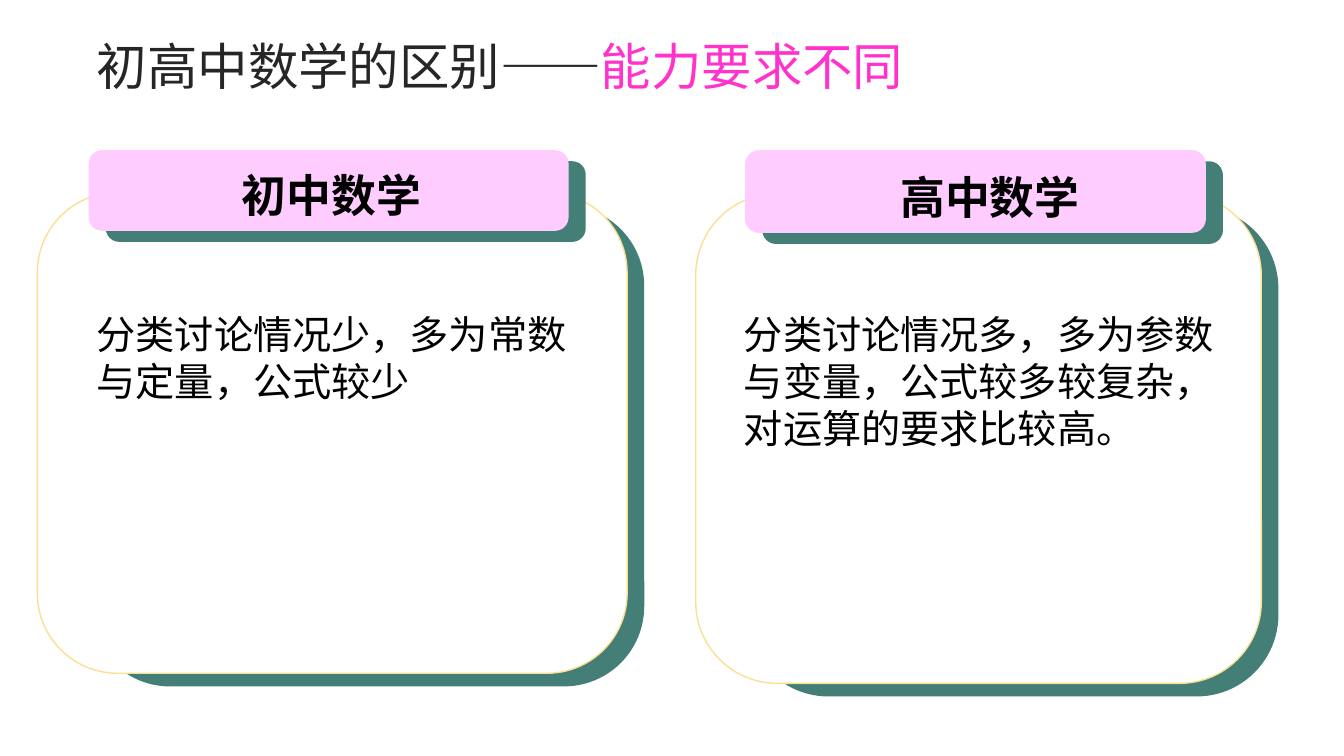
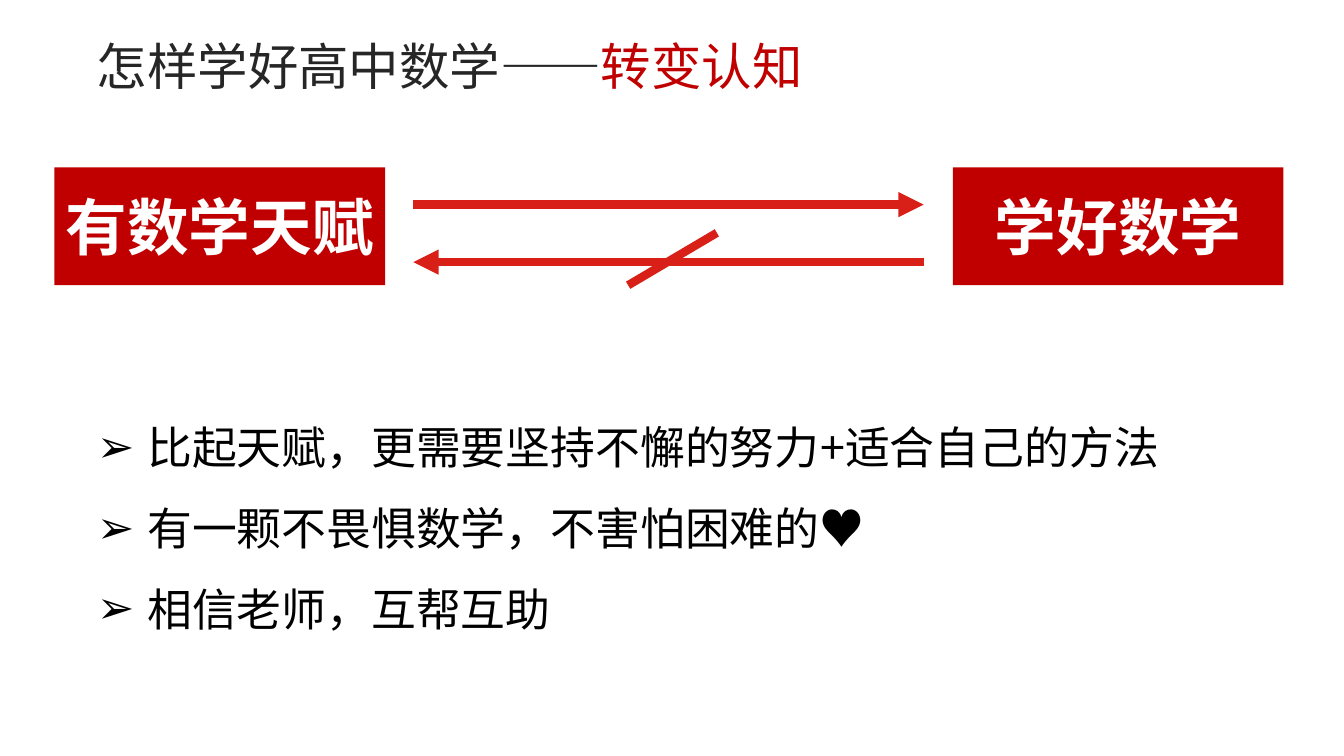
from dataclasses import dataclass

import pptx
import pptx.dml.color
import pptx.enum.shapes
import pptx.enum.text
import pptx.oxml
import pptx.oxml.ns
import pptx.util
from pptx.util import Inches

COLORS = {
    "ink": "262626",
    "black": "000000",
    "white": "FFFFFF",
    "teal": "437F76",
    "gold": "FBDF94",
    "pale pink": "FFCCFF",
    "hot pink": "FF33CC",
    "crimson": "C00000",
    "red": "D92018",
}
CJK_FONT = "Noto Sans CJK SC"
LATIN_FONT = "Arial"

SHAPE = pptx.enum.shapes.MSO_SHAPE
ALIGN = pptx.enum.text.PP_ALIGN
ANCHOR = pptx.enum.text.MSO_ANCHOR
TITLE_ONLY, TITLE_AND_CONTENT = 5, 1


@dataclass(frozen=True)
class Box:
    """A rectangle in inches."""
    left: float
    top: float
    width: float
    height: float

    def emu(self) -> tuple:
        return tuple(Inches(n) for n in (self.left, self.top, self.width, self.height))


@dataclass(frozen=True)
class Panel:
    heading: str
    body: str
    card: Box
    tag: Box
    heading_box: Box
    body_box: Box


@dataclass(frozen=True)
class Claim:
    text: str
    left: float


@dataclass(frozen=True)
class Stroke:
    start: tuple[float, float]
    end: tuple[float, float]
    arrow: bool


TITLE_BOX = Box(0.86, 0.3, 10.22, 0.7)

PANELS = [
    Panel("高中数学", "分类讨论情况多，多为参数与变量，公式较多较复杂，对运算的要求比较高。",
          card=Box(6.9, 1.92, 5.61, 4.86), tag=Box(7.39, 1.49, 4.57, 0.82),
          heading_box=Box(7.39, 1.53, 4.86, 0.57), body_box=Box(7.28, 3.03, 5.11, 1.5)),
    Panel("初中数学", "分类讨论情况少，多为常数与定量，公式较少",
          card=Box(0.37, 1.91, 5.85, 4.77), tag=Box(0.88, 1.49, 4.76, 0.8),
          heading_box=Box(0.86, 1.51, 4.86, 0.57), body_box=Box(0.86, 3.03, 5.11, 1.03)),
]

CLAIMS = [Claim("有数学天赋", 0.54), Claim("学好数学", 9.45)]
STROKES = [
    Stroke((4.1, 2.03), (9.16, 2.03), arrow=True),
    Stroke((9.16, 2.6), (4.1, 2.6), arrow=True),
    Stroke((7.11, 2.31), (6.23, 2.83), arrow=False),
]
ADVICE = [
    "比起天赋，更需要坚持不懈的努力+适合自己的方法",
    "有一颗不畏惧数学，不害怕困难的♥",
    "相信老师，互帮互助",
]


def rgb(color: str) -> pptx.dml.color.RGBColor:
    return pptx.dml.color.RGBColor.from_string(COLORS[color])


def add_element(parent, tag: str, **attributes: str):
    child = pptx.oxml.ns.qn(tag)
    element = parent.makeelement(child, attributes)
    parent.append(element)
    return element


def style_paragraph(paragraph, size: int, color: str, face: str = LATIN_FONT,
                    bold: bool = False) -> None:
    font = paragraph.font
    font.size = pptx.util.Pt(size)
    font.bold = bold
    font.color.rgb = rgb(color)
    font.name = face
    defaults = paragraph._p.get_or_add_pPr().find(pptx.oxml.ns.qn("a:defRPr"))
    add_element(defaults, "a:ea", typeface=CJK_FONT)


def place(shape, box: Box) -> None:
    shape.left, shape.top, shape.width, shape.height = box.emu()
    frame = shape.text_frame
    frame.auto_size = pptx.enum.text.MSO_AUTO_SIZE.NONE
    frame.vertical_anchor = ANCHOR.TOP


def add_titled_slide(deck, layout: int, topic: str, point: str, point_color: str):
    slide = deck.slides.add_slide(deck.slide_layouts[layout])
    title = slide.shapes.title
    place(title, TITLE_BOX)
    paragraph = title.text_frame.paragraphs[0]
    paragraph.alignment = ALIGN.LEFT
    style_paragraph(paragraph, 36, "ink", CJK_FONT)
    paragraph.add_run().text = topic + "——"
    emphasis = paragraph.add_run()
    emphasis.text = point
    emphasis.font.color.rgb = rgb(point_color)
    return slide


def add_block(slide, kind, box: Box, fill: str, outline: str | None = None):
    block = slide.shapes.add_shape(kind, *box.emu())
    block.shadow.inherit = False
    block.fill.solid()
    block.fill.fore_color.rgb = rgb(fill)
    if outline:
        block.line.color.rgb = rgb(outline)
        block.line.width = pptx.util.Pt(1)
    else:
        block.line.fill.background()
    return block


def add_text(slide, box: Box, text: str, size: int, bold: bool = False,
             align=ALIGN.LEFT, spacing: float = 1.0) -> None:
    frame = slide.shapes.add_textbox(*box.emu()).text_frame
    frame.word_wrap = True
    paragraph = frame.paragraphs[0]
    paragraph.text = text
    paragraph.alignment = align
    paragraph.line_spacing = spacing
    style_paragraph(paragraph, size, "black", bold=bold)


def add_panel(slide, panel: Panel) -> None:
    card, tag = panel.card, panel.tag
    shadow_width = card.width * 0.94
    card_shadow = Box(card.left + card.width + 0.17 - shadow_width, card.top + 0.13,
                      shadow_width, card.height)
    tag_shadow = Box(tag.left + 0.17, tag.top + 0.11, tag.width, tag.height)
    rounded = SHAPE.ROUNDED_RECTANGLE
    add_block(slide, rounded, card_shadow, "teal")
    add_block(slide, rounded, card, "white", "gold")
    add_block(slide, rounded, tag_shadow, "teal")
    add_block(slide, rounded, tag, "pale pink")
    add_text(slide, panel.heading_box, panel.heading, 32, True, ALIGN.CENTER, 1.2)
    add_text(slide, panel.body_box, panel.body, 28)


def add_claim(slide, claim: Claim) -> None:
    block = add_block(slide, SHAPE.RECTANGLE, Box(claim.left, 1.66, 3.28, 1.17), "crimson")
    block.text_frame.vertical_anchor = ANCHOR.MIDDLE
    paragraph = block.text_frame.paragraphs[0]
    paragraph.text = claim.text
    paragraph.alignment = ALIGN.CENTER
    style_paragraph(paragraph, 44, "white", bold=True)


def add_stroke(slide, stroke: Stroke) -> None:
    ends = [Inches(n) for n in stroke.start + stroke.end]
    connector = slide.shapes.add_connector(pptx.enum.shapes.MSO_CONNECTOR.STRAIGHT, *ends)
    connector.line.color.rgb = rgb("red")
    connector.line.width = pptx.util.Pt(6)
    if stroke.arrow:
        add_element(connector.line._get_or_add_ln(), "a:tailEnd", type="triangle")
    add_element(connector._element.spPr, "a:effectLst")


def fill_advice(slide) -> None:
    body = slide.placeholders[1]
    place(body, Box(0.86, 3.85, 11.42, 2.5))
    frame = body.text_frame
    frame.text = "\n".join(ADVICE)
    for paragraph in frame.paragraphs:
        paragraph.line_spacing = 1.5
        paragraph.space_before = pptx.util.Pt(0)
        properties = paragraph._p.get_or_add_pPr()
        properties.set("marL", str(Inches(0.5)))
        properties.set("indent", str(-Inches(0.5)))
        bullet_color = add_element(properties, "a:buClr")
        add_element(bullet_color, "a:srgbClr", val=COLORS["black"])
        add_element(properties, "a:buFont", typeface=LATIN_FONT)
        add_element(properties, "a:buChar", char="➢")
        style_paragraph(paragraph, 32, "black", CJK_FONT)


def build_differences(deck) -> None:
    slide = add_titled_slide(deck, TITLE_ONLY, "初高中数学的区别", "能力要求不同", "hot pink")
    for panel in PANELS:
        add_panel(slide, panel)


def build_mindset(deck) -> None:
    slide = add_titled_slide(deck, TITLE_AND_CONTENT, "怎样学好高中数学", "转变认知", "crimson")
    for claim in CLAIMS:
        add_claim(slide, claim)
    for stroke in STROKES:
        add_stroke(slide, stroke)
    fill_advice(slide)


def main() -> None:
    deck = pptx.Presentation()
    deck.slide_width, deck.slide_height = Inches(13.33), Inches(7.5)
    build_differences(deck)
    build_mindset(deck)
    deck.save("out.pptx")


if __name__ == "__main__":
    main()
